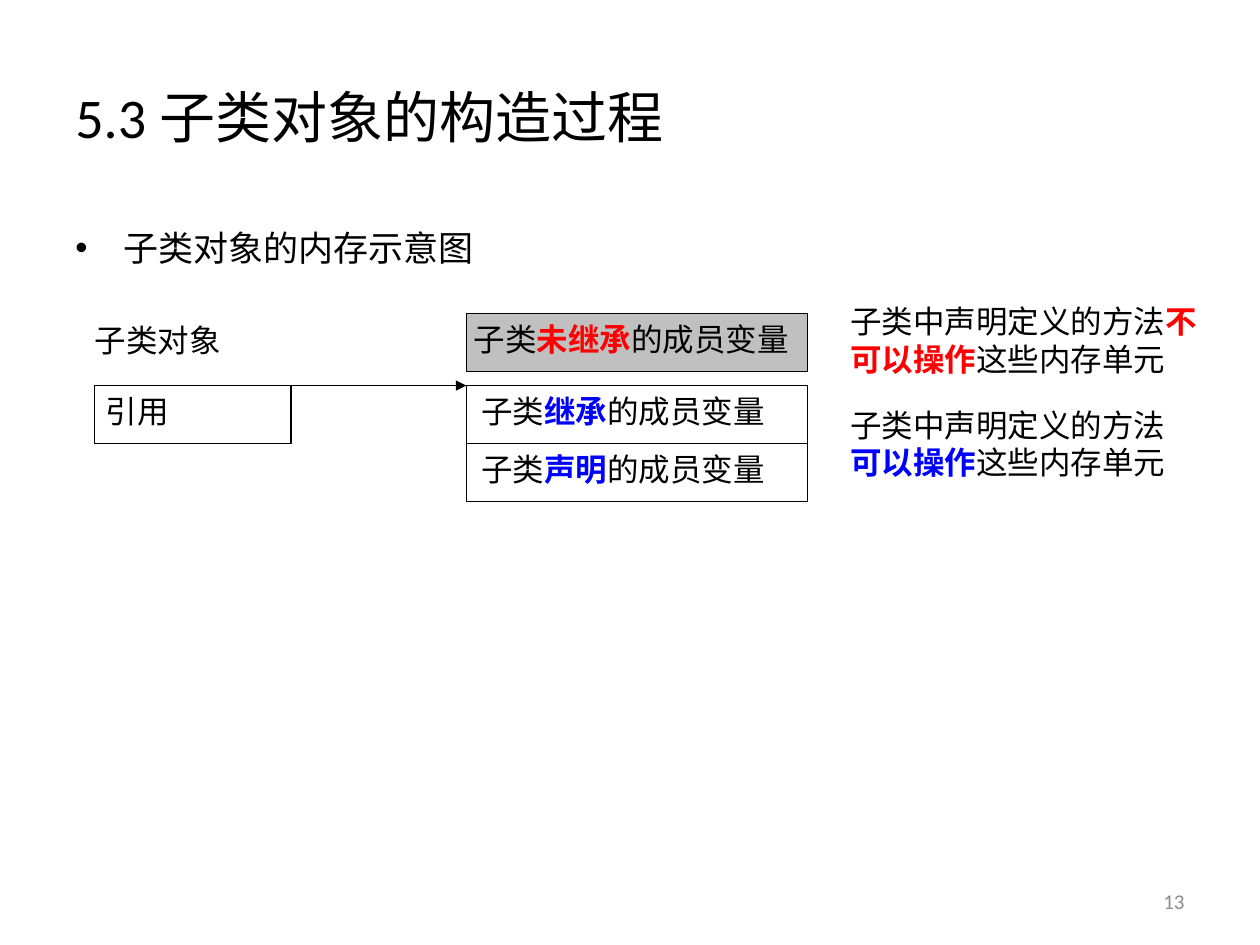
from lxml import etree
from pptx import Presentation
from pptx import util as u
from pptx.dml.color import RGBColor
from pptx.enum import shapes, text
from pptx.oxml.ns import qn

BLACK, WHITE, GRAY, RED, BLUE = "000000", "FFFFFF", "C0C0C0", "FF0000", "0000FF"
PAGE_GRAY = "8C8C8C"
SERIF, SANS = "Times New Roman", "Calibri"
ROW = 0.46


def paint(target, color):
    target.rgb = RGBColor.from_string(color)


def write(frame, parts, size, font, color=BLACK, align=text.PP_ALIGN.LEFT,
          anchor=text.MSO_ANCHOR.TOP):
    frame.word_wrap = True
    frame.vertical_anchor = anchor
    line = frame.paragraphs[0]
    line.alignment = align
    line.font.size = u.Pt(size)
    line.font.name = font
    paint(line.font.color, color)
    for words, accent in parts:
        run = line.add_run()
        run.text = words
        if accent:
            run.font.bold = True
            paint(run.font.color, accent)
    return line


def add_text(slide, box, parts, size, **style):
    label = slide.shapes.add_textbox(*map(u.Inches, box))
    return write(label.text_frame, parts, size, SANS, **style)


def add_bullet(slide, box, words):
    label = slide.shapes.add_textbox(*map(u.Inches, box))
    props = label.text_frame.paragraphs[0]._p.get_or_add_pPr()
    props.set("marL", str(u.Inches(0.38)))
    props.set("indent", str(-u.Inches(0.38)))
    etree.SubElement(props, qn("a:buFont")).set("typeface", "Arial")
    etree.SubElement(props, qn("a:buChar")).set("char", "•")
    write(label.text_frame, [(words, None)], 20, SANS)


def add_cell(group, box, parts, indent, fill=WHITE, outlined=True):
    cell = group.shapes.add_shape(shapes.MSO_SHAPE.RECTANGLE, *map(u.Inches, box))
    cell.shadow.inherit = False
    cell.fill.solid()
    paint(cell.fill.fore_color, fill)
    if outlined:
        paint(cell.line.color, BLACK)
        cell.line.width = u.Pt(0.75)
    else:
        cell.line.fill.background()
    frame = cell.text_frame
    frame.margin_left = u.Inches(indent)
    frame.margin_right = 0
    frame.margin_top = frame.margin_bottom = u.Inches(0.05)
    write(frame, parts, 18, SERIF)


def add_arrow(group, left, right, y):
    arrow = group.shapes.add_connector(
        shapes.MSO_CONNECTOR.STRAIGHT, *map(u.Inches, (left, y, right, y)))
    paint(arrow.line.color, BLACK)
    arrow.line.width = u.Pt(0.75)
    etree.SubElement(arrow.line._get_or_add_ln(), qn("a:tailEnd")).set("type", "triangle")
    etree.SubElement(arrow._element.spPr, qn("a:effectLst"))


def add_memory_diagram(slide, left, top, width):
    group = slide.shapes.add_group_shape()
    block_width = 2.71
    block_left = left + width - block_width
    block_top = top + 0.57
    reference_width = 1.56

    def members(kind, accent):
        return [("子类", None), (kind, accent), ("的成员变量", None)]

    add_cell(group, (block_left, top, block_width, ROW), members("未继承", RED), 0.06, GRAY)
    add_cell(group, (left, block_top, reference_width, ROW), [("引用", None)], 0.09)
    add_cell(group, (left, top + 0.01, 1.29, ROW), [("子类对象", None)], 0, outlined=False)
    for row, kind in enumerate(("继承", "声明")):
        add_cell(group, (block_left, block_top + row * ROW, block_width, ROW),
                 members(kind, BLUE), 0.12)
    add_arrow(group, left + reference_width, block_left, block_top)


def add_access_notes(slide, left, top):
    notes = (("不可以操作", RED, 3.18), ("可以操作", BLUE, 2.81))
    for row, (rule, accent, width) in enumerate(notes):
        add_text(slide, (left, top + row * 0.82, width, 0.71),
                 [("子类中声明定义的方法", None), (rule, accent), ("这些内存单元", None)], 18)


def main():
    deck = Presentation()
    deck.slide_width, deck.slide_height = u.Inches(10), u.Inches(7.5)
    slide = deck.slides.add_slide(deck.slide_layouts[6])
    add_text(slide, (0.5, 0.3, 9, 1.25), [("5.3 子类对象的构造过程", None)], 32,
             anchor=text.MSO_ANCHOR.MIDDLE)
    add_bullet(slide, (0.5, 1.75, 9, 4.95), "子类对象的内存示意图")
    add_memory_diagram(slide, 0.75, 2.49, 5.66)
    add_access_notes(slide, 6.65, 2.35)
    add_text(slide, (7.17, 6.95, 2.33, 0.4), [("13", None)], 12, color=PAGE_GRAY,
             align=text.PP_ALIGN.RIGHT, anchor=text.MSO_ANCHOR.MIDDLE)
    deck.save("out.pptx")


if __name__ == "__main__":
    main()
